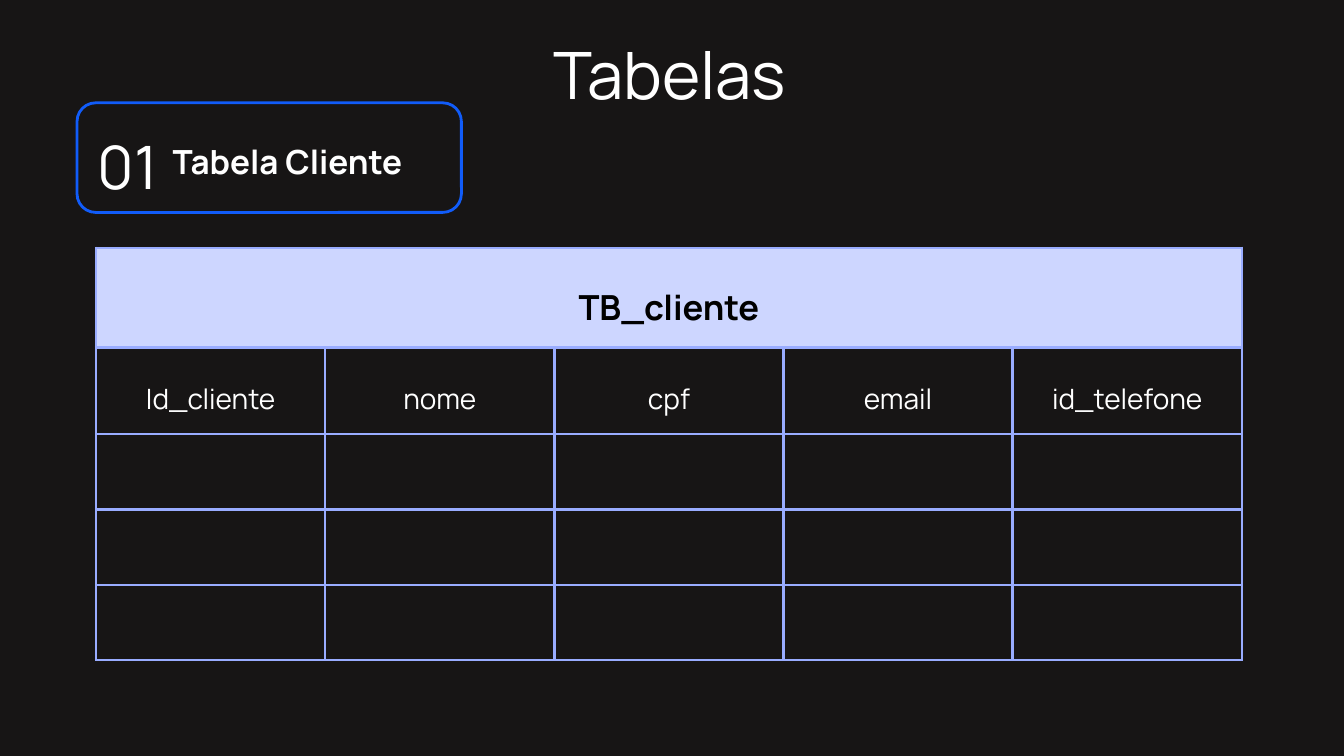
import pptx
import pptx.dml.color
import pptx.enum.shapes
import pptx.enum.text
import pptx.oxml
import pptx.oxml.ns
import pptx.util

SLIDE_WIDTH = pptx.util.Inches(20)
SLIDE_HEIGHT = pptx.util.Inches(11.25)
FONT = "Manrope"
COLORS = {
    "background": "171515",
    "frame": "115CF9",
    "border": "99ACFF",
    "header": "CDD6FF",
    "dark": "000000",
    "light": "FFFFFF",
}
ALIGN = pptx.enum.text.PP_ALIGN
ANCHOR = pptx.enum.text.MSO_ANCHOR
TABLE_NAME = "TB_cliente"
FIELDS = ["Id_cliente", "nome", "cpf", "email", "id_telefone"]
ROW_SHARES = [13.16, 11.47, 9.96, 9.96, 9.96]


def color(name):
    """Return the named colour of the palette."""
    return pptx.dml.color.RGBColor.from_string(COLORS[name])


def across(percent):
    """Return a share of the slide's width."""
    return int(SLIDE_WIDTH * percent / 100)


def down(percent):
    """Return a share of the slide's height."""
    return int(SLIDE_HEIGHT * percent / 100)


def area(left, top, width, height):
    """Turn percentages of the slide into a position and size."""
    return across(left), down(top), across(width), down(height)


def write(frame, text, size, tint="light", bold=False, align=ALIGN.CENTER, spacing=1.2):
    """Put one formatted paragraph into a text frame."""
    paragraph = frame.paragraphs[0]
    paragraph.alignment = align
    paragraph.line_spacing = spacing
    run = paragraph.add_run()
    run.text = text
    run.font.name = FONT
    run.font.size = pptx.util.Pt(size)
    run.font.bold = bold
    run.font.color.rgb = color(tint)


def reset_frame(frame):
    """Remove the margins and start the wrapped text at the top."""
    frame.margin_left = frame.margin_top = frame.margin_right = frame.margin_bottom = 0
    frame.vertical_anchor = ANCHOR.TOP
    frame.auto_size = pptx.enum.text.MSO_AUTO_SIZE.NONE
    frame.word_wrap = True


def add_title(slide, text):
    """Place and fill the title placeholder."""
    title = slide.shapes.title
    title.left, title.top, title.width, title.height = area(8.2, 2.5, 83.25, 10.93)
    reset_frame(title.text_frame)
    write(title.text_frame, text, 70)


def add_label(slide, place, text, size, **style):
    """Add a text box with one line of text."""
    label = slide.shapes.add_textbox(*area(*place))
    reset_frame(label.text_frame)
    write(label.text_frame, text, size, **style)


def add_frame(slide):
    """Draw the rounded outline around the section heading."""
    outline = slide.shapes.add_shape(
        pptx.enum.shapes.MSO_SHAPE.ROUNDED_RECTANGLE, *area(5.73, 13.6, 28.6, 14.5)
    )
    outline.adjustments[0] = 0.17
    outline.shadow.inherit = False
    outline.fill.background()
    outline.line.color.rgb = color("frame")
    outline.line.width = pptx.util.Pt(3)


def add_borders(cell, width):
    """Draw all four borders of a table cell."""
    properties = cell._tc.get_or_add_tcPr()
    for side in ("lnL", "lnR", "lnT", "lnB"):
        properties.append(pptx.oxml.parse_xml(
            f'<a:{side} {pptx.oxml.ns.nsdecls("a")} w="{pptx.util.Pt(width)}">'
            f'<a:solidFill><a:srgbClr val="{COLORS["border"]}"/></a:solidFill></a:{side}>'
        ))


def fill_cell(cell, text, size, **style):
    """Write a centred text into a table cell."""
    margin = pptx.util.Inches(0.21)
    cell.margin_left = cell.margin_top = cell.margin_right = cell.margin_bottom = margin
    cell.vertical_anchor = ANCHOR.MIDDLE
    write(cell.text_frame, text, size, spacing=1.4, **style)


def add_client_table(slide):
    """Add the table with its name, its fields and the empty records."""
    place = area(7.15, 32.8, 85.25, sum(ROW_SHARES))
    table = slide.shapes.add_table(len(ROW_SHARES), len(FIELDS), *place).table
    table.first_row = table.horz_banding = False
    for row, share in zip(table.rows, ROW_SHARES):
        row.height = down(share)
    for cell in table.iter_cells():
        add_borders(cell, 3)
        cell.fill.background()
    heading = table.cell(0, 0)
    heading.merge(table.cell(0, len(FIELDS) - 1))
    heading.fill.solid()
    heading.fill.fore_color.rgb = color("header")
    fill_cell(heading, TABLE_NAME, 37, tint="dark", bold=True)
    for column, field in enumerate(FIELDS):
        fill_cell(table.cell(1, column), field, 30)


def main():
    """Build and save the slide."""
    presentation = pptx.Presentation()
    presentation.slide_width = SLIDE_WIDTH
    presentation.slide_height = SLIDE_HEIGHT
    slide = presentation.slides.add_slide(presentation.slide_layouts[5])
    slide.background.fill.solid()
    slide.background.fill.fore_color.rgb = color("background")
    add_frame(slide)
    add_client_table(slide)
    add_title(slide, "Tabelas")
    add_label(slide, (12.85, 17.7, 20.55, 5.5), "Tabela Cliente", 35.6,
              bold=True, align=ALIGN.LEFT)
    add_label(slide, (6.15, 15.3, 6.7, 10), "01", 64.1)
    presentation.save("out.pptx")


if __name__ == "__main__":
    main()
